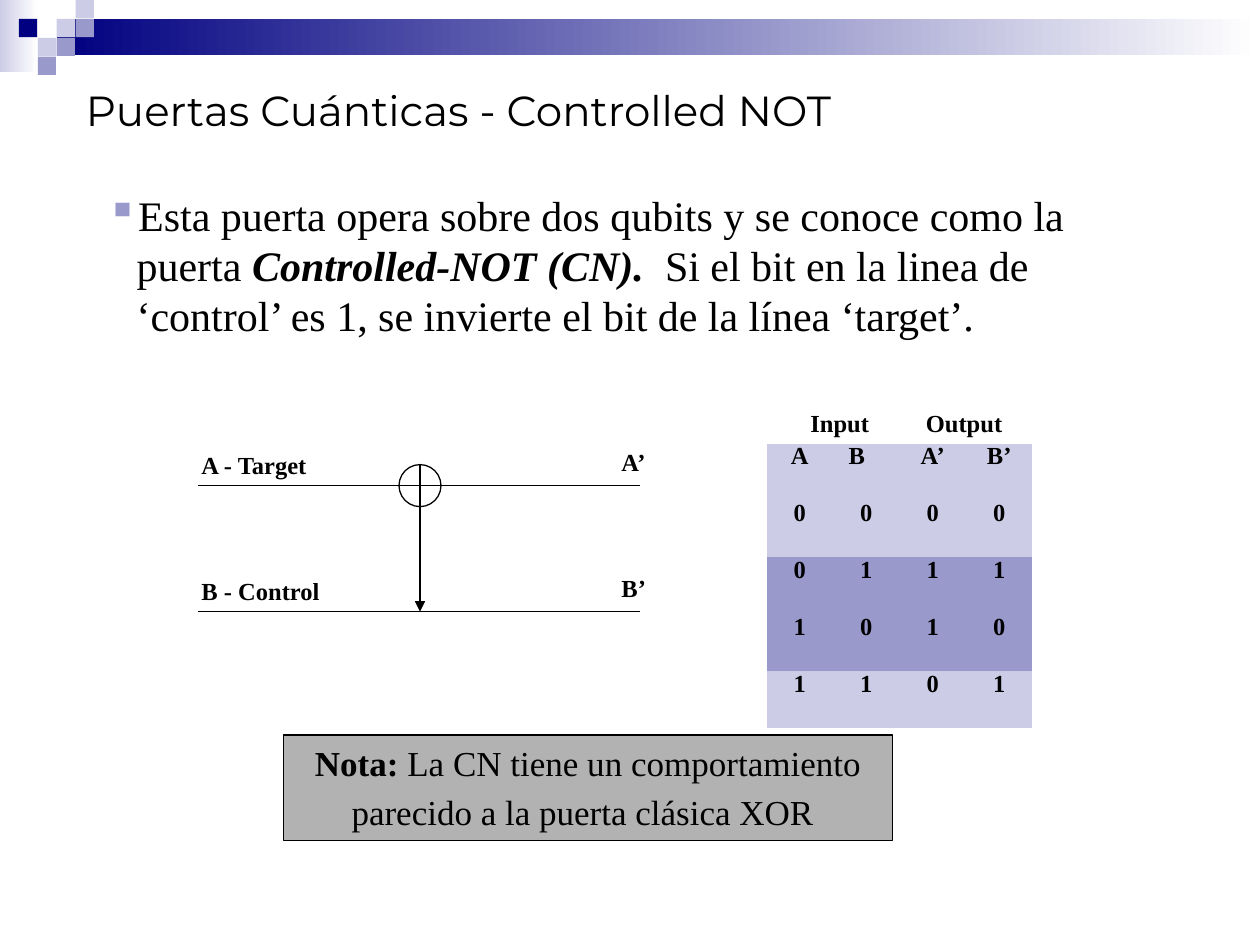
from pptx import Presentation
from pptx.dml.color import RGBColor
from pptx.enum.shapes import MSO_CONNECTOR as Conn, MSO_SHAPE as Geo
from pptx.enum.text import MSO_ANCHOR as Anchor, PP_ALIGN as Align
from pptx.oxml.ns import qn
from pptx.util import Pt
from lxml.etree import SubElement as Sub

NAVY, BLUE, PALE = "000080", "9999CC", "CCCCE6"
BLACK, WHITE, GRAY = "000000", "FFFFFF", "B2B2B2"
PLAIN = "{2D5ABB26-0587-4C30-8999-92F81FD0307C}"


def rgb(code):
    return RGBColor.from_string(code)


class Deck:
    face = "Times New Roman"
    line = 0.75

    def __init__(self, wide, high):
        self.prs = Presentation()
        self.prs.slide_width, self.prs.slide_height = Pt(wide), Pt(high)
        self.slide = self.prs.slides.add_slide(self.prs.slide_layouts[6])

    def font(self, font, size, bold=None, face=None):
        font.name, font.size, font.bold = face or self.face, Pt(size), bold
        font.color.rgb = rgb(BLACK)

    def shape(self, geo, box, fill=None, edge=None):
        """Add a preset shape; a pair of fill colours blends left to right."""
        item = self.slide.shapes.add_shape(geo, *map(Pt, box))
        item.shadow.inherit = False
        if fill is None:
            item.fill.background()
        elif isinstance(fill, str):
            item.fill.solid()
            item.fill.fore_color.rgb = rgb(fill)
        else:
            item.fill.gradient()
            item.fill.gradient_angle = 0
            for stop, code in zip(item.fill.gradient_stops, fill):
                stop.color.rgb = rgb(code)
        if edge:
            item.line.color.rgb = rgb(edge)
            item.line.width = Pt(self.line)
        else:
            item.line.fill.background()
        return item

    def words(self, item, runs, size, bold=None, face=None,
              align=Align.LEFT, anchor=Anchor.TOP):
        """Fill a shape with one paragraph of (text, bold, italic) runs."""
        frame = item.text_frame
        frame.word_wrap, frame.vertical_anchor = True, anchor
        para = frame.paragraphs[0]
        para.alignment = align
        self.font(para.font, size, bold, face)
        for text, heavy, slant in runs:
            run = para.add_run()
            run.text = text
            run.font.bold, run.font.italic = heavy, slant
        return para

    def text(self, box, runs, size, **style):
        item = self.slide.shapes.add_textbox(*map(Pt, box))
        return self.words(item, runs, size, **style)

    def label(self, left, top, wide, text):
        self.text((left, top, wide, 24.5), [(text, None, None)], 14, bold=True)

    def bullet(self, para, mark, code, indent):
        props = para._p.get_or_add_pPr()
        props.set("marL", str(Pt(indent)))
        props.set("indent", str(-Pt(indent)))
        # Bullet elements must come before the default run properties
        last = props.find(qn("a:defRPr"))
        Sub(Sub(props, qn("a:buClr")), qn("a:srgbClr")).set("val", code)
        Sub(props, qn("a:buChar")).set("char", mark)
        props.append(last)

    def wire(self, x1, y1, x2, y2, arrow=False):
        item = self.slide.shapes.add_connector(
            Conn.STRAIGHT, *map(Pt, (x1, y1, x2, y2)))
        item.line.color.rgb = rgb(BLACK)
        item.line.width = Pt(self.line)
        if arrow:
            Sub(item.line._get_or_add_ln(), qn("a:tailEnd")).set("type", "triangle")
        Sub(item._element.spPr, qn("a:effectLst"))

    def table(self, left, top, wide, high, rows, fills):
        """Add a table of equal cells, one fill colour for each row."""
        count = len(rows[0])
        grid = self.slide.shapes.add_table(
            len(rows), count, Pt(left), Pt(top),
            Pt(wide * count), Pt(high * len(rows))).table
        grid.first_row = grid.horz_banding = False
        grid._tbl.tblPr.find(qn("a:tableStyleId")).text = PLAIN
        for r, (row, code) in enumerate(zip(rows, fills)):
            grid.rows[r].height = Pt(high)
            for c, text in enumerate(row):
                cell = grid.cell(r, c)
                cell.fill.solid()
                cell.fill.fore_color.rgb = rgb(code)
                para = cell.text_frame.paragraphs[0]
                para.alignment = Align.CENTER
                para.line_spacing, para.space_before = 0.68, Pt(3.5)
                self.font(para.font, 14, True)
                para.add_run().text = text
        return grid


def main():
    deck = Deck(720, 540)

    # Corner band and squares
    deck.shape(Geo.RECTANGLE, (0, 0, 21.5, 41), (PALE, WHITE))
    deck.shape(Geo.RECTANGLE, (32.5, 10.8, 687, 20.8), (NAVY, WHITE))
    step = 10.8
    for col, row, code in [(3, 1, PALE), (4, 0, PALE), (4, 1, BLUE), (2, 2, PALE),
                           (1, 1, NAVY), (3, 2, BLUE), (2, 3, BLUE)]:
        deck.shape(Geo.RECTANGLE, (col * step, row * step, 10.4, 10.4), code)

    deck.text((42, 44.5, 648, 36),
              [("Puertas Cuánticas - Controlled NOT", None, None)],
              24, face="Montserrat", anchor=Anchor.MIDDLE)
    body = deck.text((54, 104.5, 596, 93.5), [
        ("Esta puerta opera sobre dos qubits y se conoce como la puerta ", None, None),
        ("Controlled-NOT (CN).  ", True, True),
        ("Si el bit en la linea de ‘control’ es 1, se invierte el bit "
         "de la línea ‘target’.", None, None)], 24)
    body.line_spacing = Pt(28.8)
    deck.bullet(body, "▪", BLUE, 17)

    # Circuit
    left, right, mid, top, low, rad = 113, 366, 240, 277.5, 349.5, 12
    deck.shape(Geo.FLOWCHART_OR, (mid - rad, top - rad, 2 * rad, 2 * rad), edge=BLACK)
    deck.wire(mid - rad, top, left, top)
    deck.wire(right, top, mid + rad, top)
    deck.wire(left, low, right, low)
    deck.wire(mid, top + rad, mid, low, arrow=True)
    for y, name, out in [(top, "A - Target", "A’"), (low, "B - Control", "B’")]:
        deck.label(108, y - 24, 90, name)
        deck.label(348, y - 25.5, 37.5, out)

    # Truth table
    rows = [["A", "B", "A’", "B’"]]
    for a, b in [(0, 0), (0, 1), (1, 0), (1, 1)]:
        rows.append([str(bit) for bit in (a, b, a ^ b, b)])
    grid = deck.table(438, 253.5, 38, 32.5, rows, [PALE, PALE, BLUE, BLUE, PALE])
    grid.cell(0, 1).margin_right = Pt(18)
    deck.label(456, 229.5, 52.5, "Input")
    deck.label(522, 229.5, 66, "Output")

    note = deck.shape(Geo.RECTANGLE, (162, 420, 348, 60.5), GRAY, BLACK)
    para = deck.words(note, [
        ("Nota:", True, None),
        (" La CN tiene un comportamiento parecido a la puerta clásica XOR", None, None),
        (" ", True, True)], 20, align=Align.CENTER)
    para.runs[-1].font.size = Pt(24)

    deck.prs.save("out.pptx")


if __name__ == "__main__":
    main()
